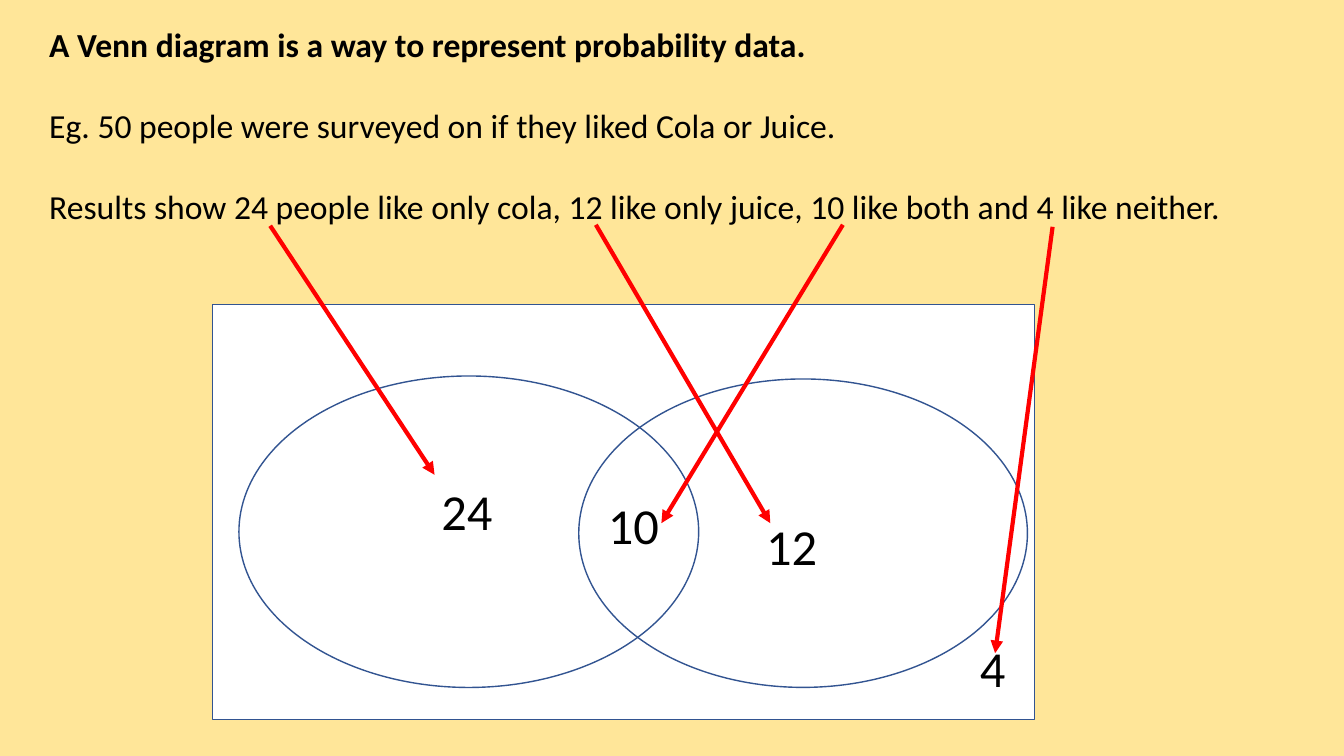
from lxml import etree
from pptx import Presentation
from pptx.dml.color import RGBColor
from pptx.enum.shapes import MSO_CONNECTOR, MSO_SHAPE
from pptx.oxml.ns import qn
from pptx.util import Pt

PX = 9144
RECTANGLE, OVAL = MSO_SHAPE.RECTANGLE, MSO_SHAPE.OVAL
STRAIGHT = MSO_CONNECTOR.STRAIGHT
FONT = "Calibri"
COLORS = {
    "background": "FFE699",
    "white": "FFFFFF",
    "outline": "325491",
    "arrow": "FF0000",
    "text": "000000",
}

INTRO_BOX = (39, 19, 1207, 212)
INTRO = [
    "A Venn diagram is a way to represent probability data.",
    "Eg. 50 people were surveyed on if they liked Cola or Juice.",
    "Results show 24 people like only cola, 12 like only juice, 10 like both and 4 like neither.",
]
REGIONS = [
    (RECTANGLE, (211, 302, 815, 412), "white"),
    (OVAL, (237, 373, 456, 309), None),
    (OVAL, (574, 376, 445, 306), None),
]
COUNT_SIZE = (121, 71)
COUNTS = [
    ("24", (428, 471), (268, 224), (431, 471)),
    ("12", (750, 506), (591, 223), (764, 519)),
    ("10", (593, 485), (836, 223), (656, 519)),
    ("4", (962, 627), (1044, 225), (987, 648)),
]


def color(name):
    return RGBColor.from_string(COLORS[name])


def scale(*lengths):
    return [length * PX for length in lengths]


def add_text(slide, box, lines, size, gap=0, bold_first=False):
    frame = slide.shapes.add_textbox(*scale(*box)).text_frame
    frame.word_wrap = True
    for index, line in enumerate(lines):
        paragraph = frame.paragraphs[0] if index == 0 else frame.add_paragraph()
        paragraph.text = line
        if index:
            paragraph.space_before = Pt(gap)
        paragraph.font.name = FONT
        paragraph.font.size = Pt(size)
        paragraph.font.bold = bold_first and index == 0
        paragraph.font.color.rgb = color("text")


def add_region(slide, kind, box, fill):
    shape = slide.shapes.add_shape(kind, *scale(*box))
    shape.shadow.inherit = False
    if fill:
        shape.fill.solid()
        shape.fill.fore_color.rgb = color(fill)
    else:
        shape.fill.background()
    shape.line.color.rgb = color("outline")
    shape.line.width = Pt(1)


def add_arrow(slide, start, end):
    arrow = slide.shapes.add_connector(STRAIGHT, *scale(*start, *end))
    arrow.line.color.rgb = color("arrow")
    arrow.line.width = Pt(3)
    properties = arrow.element.spPr
    etree.SubElement(properties.find(qn("a:ln")), qn("a:tailEnd"), type="triangle")
    etree.SubElement(properties, qn("a:effectLst"))


def main():
    presentation = Presentation()
    presentation.slide_width, presentation.slide_height = scale(1333, 750)
    slide = presentation.slides.add_slide(presentation.slide_layouts[6])
    slide.background.fill.solid()
    slide.background.fill.fore_color.rgb = color("background")

    add_text(slide, INTRO_BOX, INTRO, 24, gap=29, bold_first=True)
    for region in REGIONS:
        add_region(slide, *region)
    for count, position, _, _ in COUNTS:
        add_text(slide, position + COUNT_SIZE, [count], 36)
    for _, _, start, end in COUNTS:
        add_arrow(slide, start, end)

    presentation.save("out.pptx")


if __name__ == "__main__":
    main()
